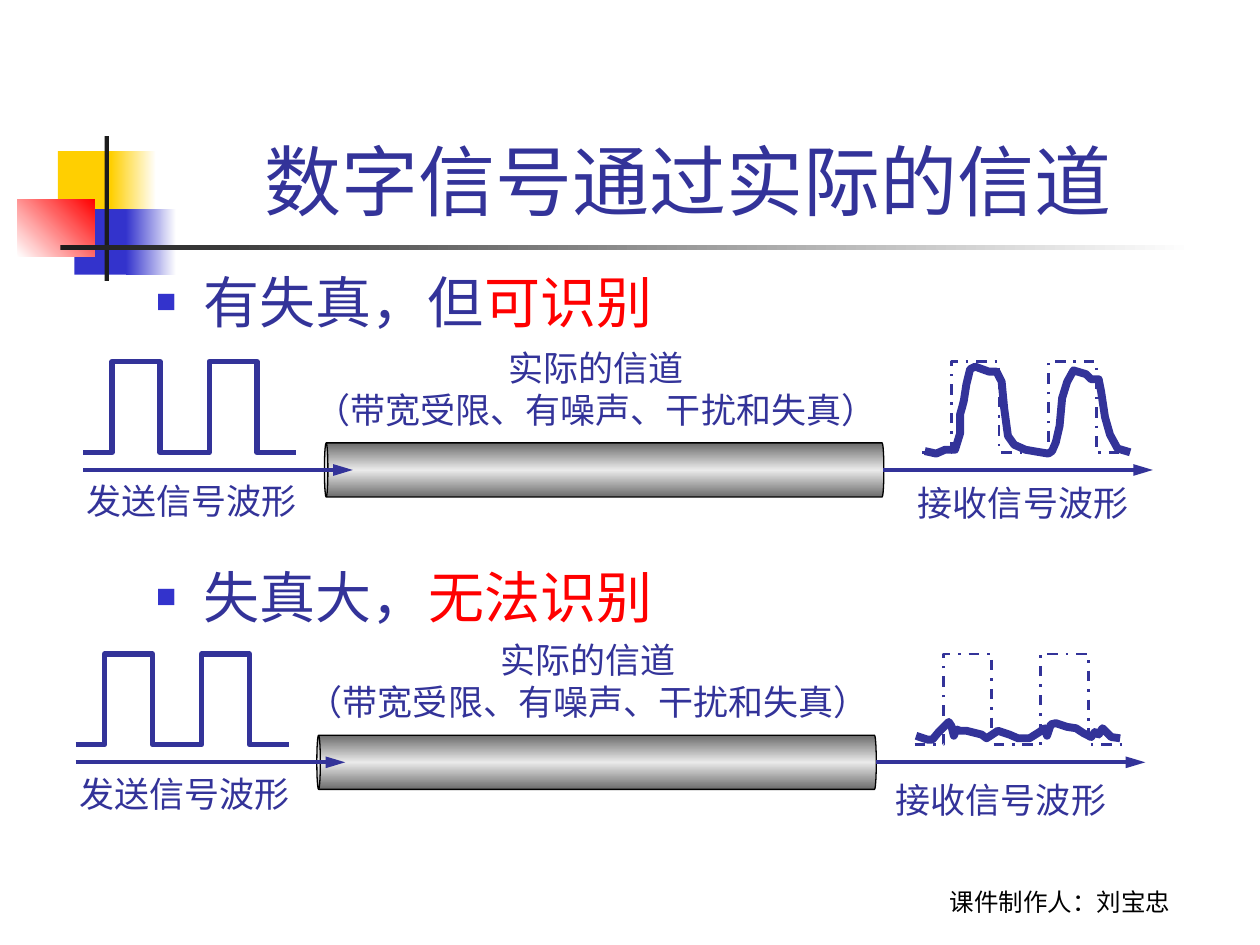
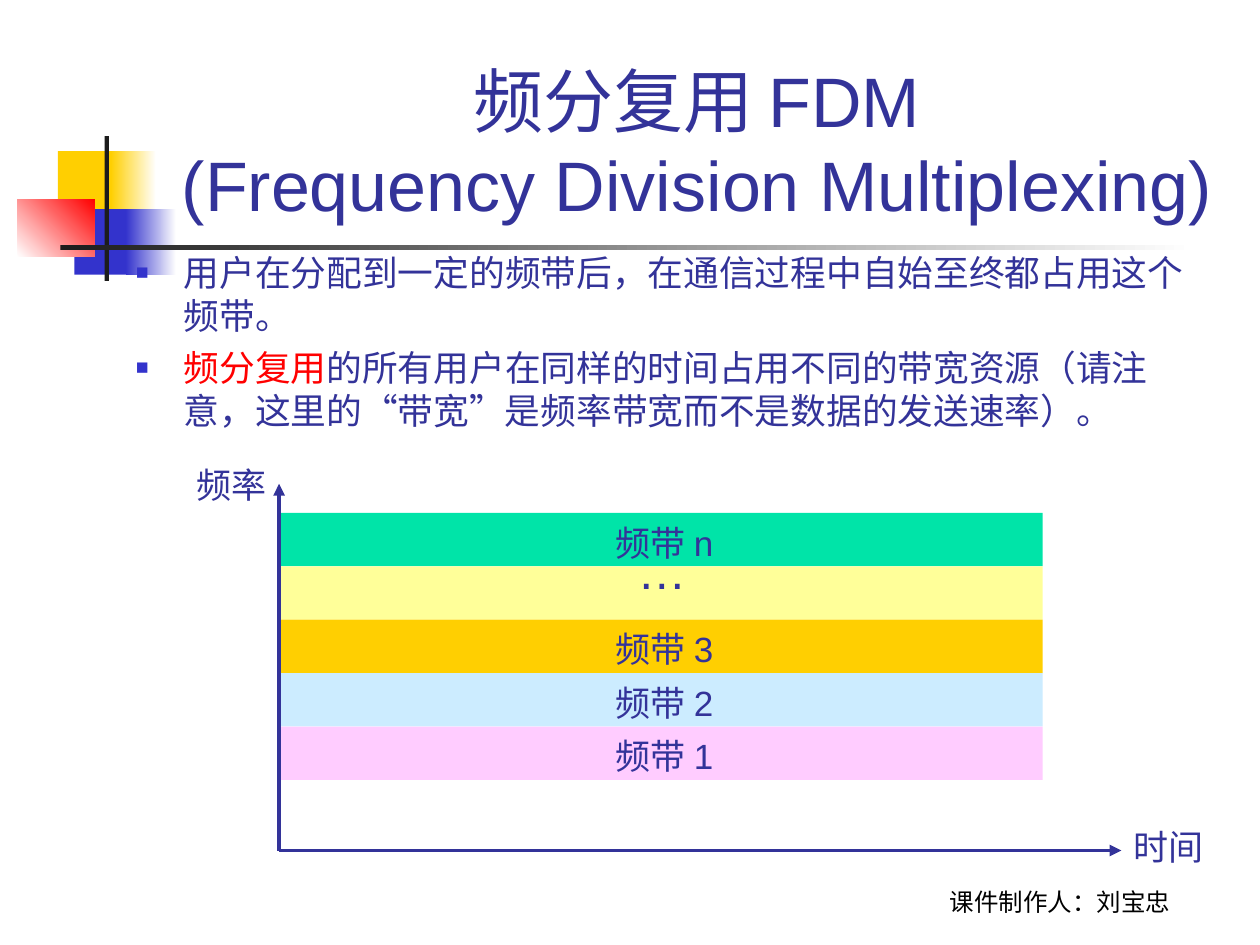
from lxml import etree
from pptx import Presentation
from pptx import util as u
from pptx.dml.color import RGBColor
from pptx.enum import dml, shapes, text
from pptx.oxml import ns

INK, RED, BLACK = "333399", "FF0000", "000000"
GOLD, BLUE, DARK, WHITE = "FFCF01", "3333CC", "1C1C1C", "FFFFFF"
HAN_FONT = "Noto Sans CJK SC"
CENTER, LEFT = text.PP_ALIGN.CENTER, text.PP_ALIGN.LEFT
COLUMNS, ROWS = 100, 75
PULSE_EDGES = (0, 2.3, 6.1, 10, 13.8, 16.9)
PULSE_HIGH, PULSE_LOW = 28.7, 35.9

CLEAR_WAVE = [
    (73.4, 35.8), (74.3, 36), (75, 35.7), (75.8, 35.7), (76.2, 34.4), (76.2, 32.9),
    (76.4, 32.2), (76.5, 31.8), (76.7, 30.5), (77, 29.3), (77.4, 29.1), (78.5, 29.5),
    (79.1, 29.5), (79.5, 30.3), (79.7, 32.4), (80, 34.6), (80.5, 35.3), (81.4, 35.7),
    (82, 35.8), (83.2, 36), (83.5, 35.8), (83.8, 35.1), (84.1, 33.8), (84.3, 31.6),
    (84.7, 30.3), (85.2, 29.4), (86.2, 29.7), (86.6, 30.1), (87.2, 30.1), (87.4, 31.1),
    (87.7, 33.1), (88.1, 34.5), (88.7, 35.6), (89.7, 35.9),
]
LOST_WAVE = [
    (72.7, 58.4), (73.6, 58.7), (74, 58.7), (74.5, 58.1), (75.3, 57.3), (75.5, 57.6),
    (75.7, 58.4), (75.9, 57.9), (76.2, 58), (76.7, 58), (77.9, 58.3), (78.3, 58.6),
    (79.2, 58), (80.1, 58.3), (80.8, 58.6), (81.7, 58.6), (82.5, 58.1), (82.9, 57.8),
    (83.1, 58.4), (83.4, 57.5), (83.8, 57.4), (84.7, 57.7), (85.4, 57.8), (86, 58.2),
    (86.6, 58.5), (86.9, 58.1), (87.2, 58.3), (87.5, 57.8), (88.2, 58.5), (88.9, 58.6),
]


def rgb(value):
    """Turn a hex string into a colour."""
    return RGBColor.from_string(value)


def element(parent, tag, **attributes):
    """Append a drawing element to its parent."""
    return etree.SubElement(parent, ns.qn(tag), attributes)


class Deck:
    """Holds the style, the grid and the current slide."""

    def __init__(self):
        """Open an empty 10 by 7.5 inch presentation."""
        self.show = Presentation()
        self.show.slide_width, self.show.slide_height = u.Inches(10), u.Inches(7.5)
        self.slide = None

    def x(self, columns):
        """Convert columns to a length."""
        return u.Emu(round(self.show.slide_width * columns / COLUMNS))

    def y(self, rows):
        """Convert rows to a length."""
        return u.Emu(round(self.show.slide_height * rows / ROWS))

    def box(self, left, top, width, height):
        """Convert a grid area to lengths."""
        return self.x(left), self.y(top), self.x(width), self.y(height)

    def shape(self, area, *colours, angle=0, kind=shapes.MSO_SHAPE.RECTANGLE):
        """Draw a preset shape with a plain or evenly graded fill."""
        shape = self.slide.shapes.add_shape(kind, *self.box(*area))
        shape.shadow.inherit = False
        shape.line.fill.background()
        if len(colours) == 1:
            shape.fill.solid()
            shape.fill.fore_color.rgb = rgb(colours[0])
            return shape
        shape.fill.gradient()
        shape.fill.gradient_angle = angle
        stops = shape.element.spPr.find(".//" + ns.qn("a:gsLst"))
        for stop in list(stops):
            stops.remove(stop)
        for i, colour in enumerate(colours):
            stop = element(stops, "a:gs", pos=str(100000 * i // (len(colours) - 1)))
            element(stop, "a:srgbClr", val=colour)
        return shape

    def stroke(self, line, weight, colour=INK):
        """Set the colour and weight of a line."""
        line.color.rgb = rgb(colour)
        line.width = u.Pt(weight)

    def outline(self, points, weight, dash=None):
        """Draw an open line through grid points."""
        (start, *rest) = [(self.x(column), self.y(row)) for column, row in points]
        builder = self.slide.shapes.build_freeform(*start)
        builder.add_line_segments(rest, close=False)
        curve = builder.convert_to_shape()
        curve.shadow.inherit = False
        curve.fill.background()
        self.stroke(curve.line, weight)
        if dash:
            curve.line.dash_style = dash

    def arrow(self, start, end, length="med"):
        """Draw a straight arrow between two grid points."""
        ends = self.x(start[0]), self.y(start[1]), self.x(end[0]), self.y(end[1])
        arrow = self.slide.shapes.add_connector(shapes.MSO_CONNECTOR.STRAIGHT, *ends)
        self.stroke(arrow.line, 2.25)
        properties = arrow._element.spPr
        element(properties.find(ns.qn("a:ln")), "a:tailEnd", type="triangle", w="med", len=length)
        element(properties, "a:effectLst")

    def style(self, run, size, font, colour):
        """Format one run, with Chinese glyphs always in the same font."""
        run.font.size, run.font.name = u.Pt(size), font
        run.font.color.rgb = rgb(colour)
        element(run._r.get_or_add_rPr(), "a:ea", typeface=HAN_FONT)

    def frame(self, area, anchor=text.MSO_ANCHOR.TOP):
        """Add an empty text box and return its frame."""
        frame = self.slide.shapes.add_textbox(*self.box(*area)).text_frame
        frame.word_wrap, frame.vertical_anchor = True, anchor
        return frame

    def label(self, area, words, size=20, font="Arial", colour=INK, align=LEFT,
              spacing=None, anchor=text.MSO_ANCHOR.TOP):
        """Write text in a single style."""
        frame = self.frame(area, anchor)
        frame.text = words
        for paragraph in frame.paragraphs:
            paragraph.alignment, paragraph.line_spacing = align, spacing
            for run in paragraph.runs:
                self.style(run, size, font, colour)

    def bullets(self, area, items, size, gap, spacing=None):
        """Write bulleted paragraphs made of pieces with a colour and a font."""
        frame = self.frame(area)
        for i, pieces in enumerate(items):
            paragraph = frame.add_paragraph() if i else frame.paragraphs[0]
            properties = paragraph._p.get_or_add_pPr()
            properties.set("marL", str(u.Inches(0.38)))
            properties.set("indent", str(-u.Inches(0.38)))
            properties.set("hangingPunct", "0")
            element(element(properties, "a:buClr"), "a:srgbClr", val=BLUE)
            element(properties, "a:buSzPct", val="60000")
            element(properties, "a:buFont", typeface="Arial")
            element(properties, "a:buChar", char="■")
            paragraph.line_spacing = spacing
            paragraph.space_before = u.Pt(gap if i else 0)
            for words, colour, font in pieces:
                run = paragraph.add_run()
                run.text = words
                self.style(run, size, font, colour)

    def page(self, title, size):
        """Start a slide with the shared ornament, footer and title."""
        self.slide = self.show.slides.add_slide(self.show.slide_layouts[6])
        self.shape((4.6, 12, 4.8, 5.2), GOLD)
        self.shape((8.8, 12, 3.6, 5.2), GOLD, WHITE)
        self.shape((5.9, 16.6, 4.6, 5.2), BLUE)
        self.shape((10, 16.6, 4, 5.2), BLUE, WHITE)
        self.shape((1.4, 15.8, 6.1, 4.6), WHITE, RED, angle=45)
        self.shape((8.3, 10.8, 0.35, 11.5), DARK)
        self.shape((4.8, 19.45, 90, 0.4), DARK, WHITE)
        bottom = text.MSO_ANCHOR.BOTTOM
        self.label((68.3, 68.2, 31.7, 5), "课件制作人：刘宝忠", 14, "Lato", BLACK,
                   CENTER, anchor=bottom)
        self.label((12.7, 2.4, 85.2, 16), title, size, align=CENTER, anchor=bottom)

    def pulses(self, left, drop, weight, dash=None):
        """Draw two square pulses."""
        level, other = PULSE_LOW + drop, PULSE_HIGH + drop
        points = [(left, level)]
        for edge in PULSE_EDGES[1:-1]:
            points += [(left + edge, level), (left + edge, other)]
            level, other = other, level
        self.outline(points + [(left + PULSE_EDGES[-1], level)], weight, dash)

    def channel(self, shift, drop, wave, received_area):
        """Draw a channel with its sent and received signals."""
        pipe = self.shape((45.8 + shift, 15.1 + drop, 4.3, 44.4), "6C6C6C", "EAEAEA", "6C6C6C",
                          kind=shapes.MSO_SHAPE.CAN)
        pipe.adjustments[0] = 0.065
        pipe.rotation = 270
        self.stroke(pipe.line, 0.75, BLACK)
        self.pulses(6.6 + shift, drop, 3)
        self.pulses(73.2 + shift, drop, 1.5, dml.MSO_LINE.DASH_DOT)
        for start in (6.6, 70.1):
            self.arrow((start + shift, 37.3 + drop), (start + 21.4 + shift, 37.3 + drop), "lg")
        self.outline(wave, 4.5)
        self.label((22.2 + shift, 27 + drop, 50.2, 7.7), "实际的信道\n（带宽受限、有噪声、干扰和失真）",
                   font="Times New Roman", align=CENTER)
        self.label((5.9 + shift, 37.6 + drop, 20, 4.4), "发送信号波形", font=HAN_FONT)
        self.label(received_area, "接收信号波形", font=HAN_FONT, align=CENTER)


def distortion(deck):
    """Build the slide on signals through a real channel."""
    deck.page("数字信号通过实际的信道 ", 44)
    deck.bullets((11.4, 20.2, 85, 45), [
        [("有失真，但", INK, "Arial"), ("可识别", RED, "Arial")],
        [("失真大，", INK, "Arial"), ("无法识别", RED, "Arial")],
    ], 32, 126.5, 1.1)
    deck.channel(0, 0, CLEAR_WAVE, (70.7, 37.7, 21, 4.4))
    deck.channel(-0.6, 23.2, LOST_WAVE, (69.3, 61.3, 20.3, 4.4))


def frequency_division(deck):
    """Build the slide on frequency division multiplexing."""
    deck.page("频分复用 FDM\v(Frequency Division Multiplexing) ", 40)
    deck.bullets((9.8, 19.4, 86.6, 19.7), [
        [("用户在分配到一定的频带后，在通信过程中自始至终都占用这个频带。", INK, "Arial")],
        [("频分复用", RED, "Arial"),
         ("的所有用户在同样的时间占用不同的带宽资源（请注意，这里的", INK, "Arial"),
         ("“带宽”", INK, HAN_FONT),
         ("是频率带宽而不是数据的发送速率）。", INK, "Arial")],
    ], 20.4, 5.5)
    origin, band_top, band_height = (22.15, 67.5), 40.7, 4.24
    bands = [("频带 n", "00E4A8"), ("…", "FFFF99"), ("频带 3", GOLD),
             ("频带 2", "CCECFF"), ("频带 1", "FFCCFF")]
    for i, (band, colour) in enumerate(bands):
        top = band_top + i * band_height
        deck.shape((origin[0], top, 60.6, band_height), colour)
        if band == "…":
            deck.label((49.6, top - 2, 8, 5.2), band, 28, spacing=0.9)
        else:
            deck.label((47.9, top + 0.55, 16, 4), band, spacing=0.9)
    deck.arrow(origin, (89, origin[1]))
    deck.arrow(origin, (origin[0], 38.4))
    for axis, left, top in (("频率", 14.6, 36.7), ("时间", 89, 65.4)):
        deck.label((left, top, 10, 4), axis, font="Times New Roman", spacing=0.9)


def main():
    """Build both slides and save them."""
    deck = Deck()
    distortion(deck)
    frequency_division(deck)
    deck.show.save("out.pptx")


if __name__ == "__main__":
    main()
